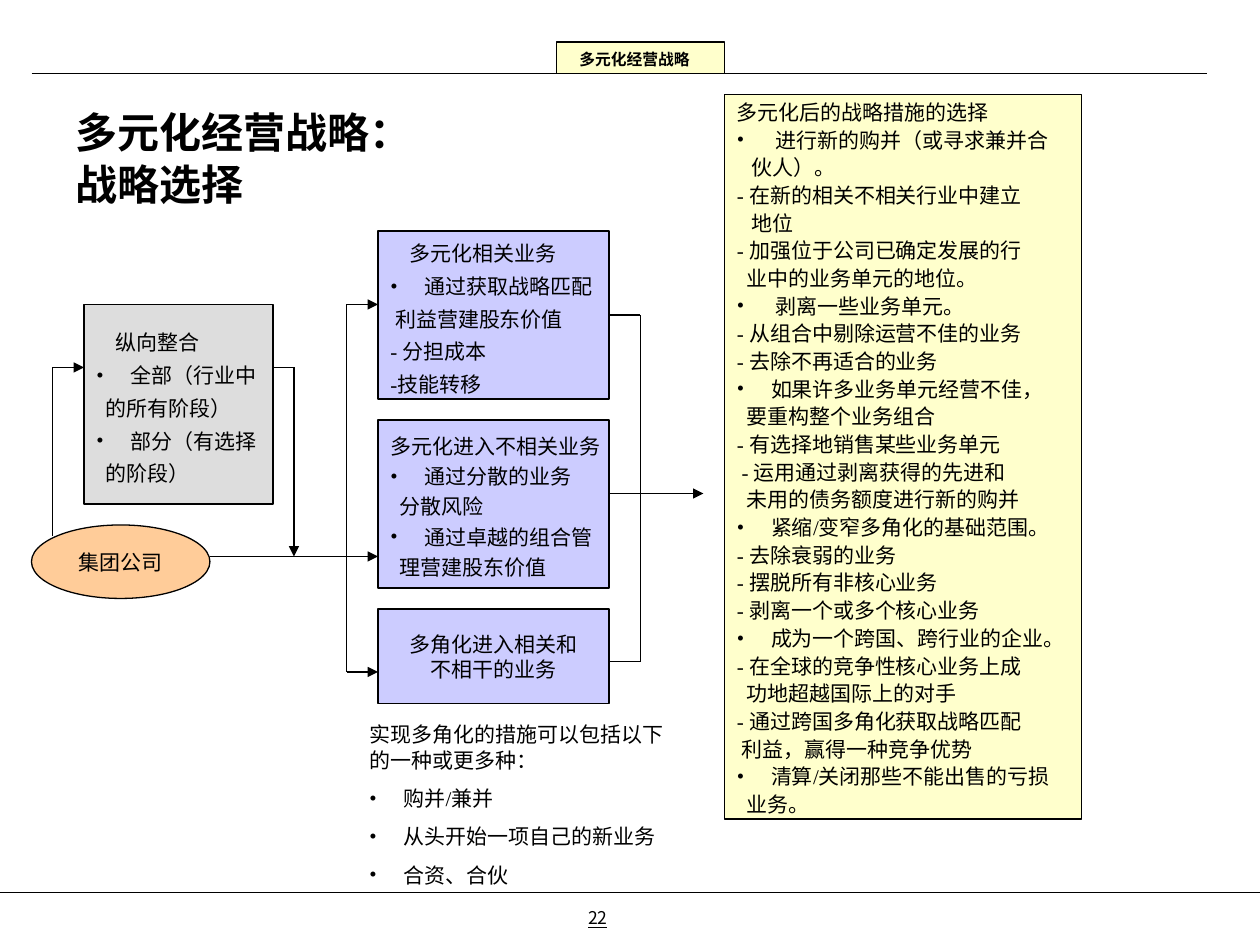
from collections import namedtuple
from dataclasses import dataclass

from lxml import etree
from pptx import Presentation
from pptx.dml.color import RGBColor
from pptx.enum.shapes import MSO_CONNECTOR, MSO_SHAPE
from pptx.enum.text import MSO_ANCHOR, MSO_AUTO_SIZE, PP_ALIGN
from pptx.oxml.ns import qn
from pptx.util import Pt

RECTANGLE, ELLIPSE = MSO_SHAPE.RECTANGLE, MSO_SHAPE.OVAL
STRAIGHT = MSO_CONNECTOR.STRAIGHT
TOP, MIDDLE = MSO_ANCHOR.TOP, MSO_ANCHOR.MIDDLE
LEFT, CENTER = PP_ALIGN.LEFT, PP_ALIGN.CENTER
FIT_SHAPE = MSO_AUTO_SIZE.SHAPE_TO_FIT_TEXT

Box = namedtuple("Box", "left top width height")


@dataclass(frozen=True)
class Theme:
    ink: str = "000000"
    grey: str = "DDDDDD"
    lilac: str = "CCCCFF"
    cream: str = "FFFFCC"
    peach: str = "FFCC99"
    serif: str = "Times New Roman"
    sans: str = "Noto Sans CJK SC"
    title: float = 24
    body: float = 12
    page: float = 10
    tag: float = 9
    outline: float = 0.75
    bullet_gap: float = 16.8
    indent_step: float = 2.7


THEME = Theme()


def line(text, steps=0):
    return text, steps, False


def bullet(text, steps=1):
    return text, steps, True


INTEGRATION = [line("纵向整合", 4), bullet("全部（行业中"), line("的所有阶段）", 2),
               bullet("部分（有选择"), line("的阶段）", 2)]
RELATED = [line("多元化相关业务", 4), bullet("通过获取战略匹配"), line("利益营建股东价值", 1),
           line("- 分担成本"), line("-技能转移")]
UNRELATED = [line("多元化进入不相关业务"), bullet("通过分散的业务"), line("分散风险", 2),
             bullet("通过卓越的组合管"), line("理营建股东价值", 2)]
MIXED = [line("多角化进入相关和"), line("不相干的业务")]
METHODS = [line("实现多角化的措施可以包括以下的一种或更多种："), bullet("购并/兼并"),
           bullet("从头开始一项自己的新业务"), bullet("合资、合伙")]
MEASURES = [
    line("多元化后的战略措施的选择"),
    bullet("进行新的购并（或寻求兼并合", 2), line("伙人）。", 3),
    line("- 在新的相关不相关行业中建立"), line("地位", 3),
    line("- 加强位于公司已确定发展的行"), line("业中的业务单元的地位。", 2),
    bullet("剥离一些业务单元。", 2),
    line("- 从组合中剔除运营不佳的业务"),
    line("- 去除不再适合的业务"),
    bullet("如果许多业务单元经营不佳，"), line("要重构整个业务组合", 2),
    line("- 有选择地销售某些业务单元"),
    line("- 运用通过剥离获得的先进和", 1), line("未用的债务额度进行新的购并", 2),
    bullet("紧缩/变窄多角化的基础范围。"),
    line("- 去除衰弱的业务"),
    line("- 摆脱所有非核心业务"),
    line("- 剥离一个或多个核心业务"),
    bullet("成为一个跨国、跨行业的企业。"),
    line("- 在全球的竞争性核心业务上成"), line("功地超越国际上的对手", 2),
    line("- 通过跨国多角化获取战略匹配"), line("利益，赢得一种竞争优势", 1),
    bullet("清算/关闭那些不能出售的亏损"), line("业务。", 2),
]


def within(box, left, top, width, height):
    return Box(box.left + left, box.top + top, width, height)


def write(frame, lines, size=THEME.body, font=THEME.serif, bold=False, underline=False,
          spacing=1.0, before=0, align=LEFT, anchor=TOP, wrap=False):
    frame.word_wrap = wrap
    frame.vertical_anchor = anchor
    for index, (text, steps, bulleted) in enumerate(lines):
        paragraph = frame.paragraphs[0] if index == 0 else frame.add_paragraph()
        paragraph.alignment = align
        paragraph.line_spacing = spacing
        paragraph.space_before = Pt(before if index else 0)
        margin = steps * THEME.indent_step + bulleted * THEME.bullet_gap
        properties = paragraph._p.get_or_add_pPr()
        properties.set("marL", str(Pt(margin)))
        properties.set("indent", str(Pt(-margin if bulleted else 0)))
        if bulleted:
            etree.SubElement(properties, qn("a:buFont"), typeface=font)
            etree.SubElement(properties, qn("a:buChar"), char="•")
        run = paragraph.add_run()
        run.text = text
        run.font.name = font
        run.font.size = Pt(size)
        run.font.bold = bold
        run.font.underline = underline
        run.font.color.rgb = RGBColor.from_string(THEME.ink)


def add_panel(slide, box, fill, lines=(), geometry=RECTANGLE, **style):
    panel = slide.shapes.add_shape(geometry, *map(Pt, box))
    panel.shadow.inherit = False
    panel.fill.solid()
    panel.fill.fore_color.rgb = RGBColor.from_string(fill)
    panel.line.color.rgb = RGBColor.from_string(THEME.ink)
    panel.line.width = Pt(THEME.outline)
    write(panel.text_frame, lines, anchor=MIDDLE, **style)


def add_label(slide, box, lines, **style):
    label = slide.shapes.add_textbox(*map(Pt, box))
    write(label.text_frame, lines, **style)
    label.text_frame.auto_size = FIT_SHAPE


def add_rule(slide, box, start, end, width=THEME.outline, arrow=False):
    points = [Pt(value) for x, y in (start, end) for value in (box.left + x, box.top + y)]
    rule = slide.shapes.add_connector(STRAIGHT, *points)
    rule.line.color.rgb = RGBColor.from_string(THEME.ink)
    rule.line.width = Pt(width)
    if arrow:
        etree.SubElement(rule.line._get_or_add_ln(), qn("a:tailEnd"), type="triangle")
    etree.SubElement(rule._element.spPr, qn("a:effectLst"))


def draw_header(slide, box):
    add_label(slide, within(box, 18, 46, 252, 51), [line("多元化经营战略："), line("战略选择")],
              size=THEME.title, bold=True, spacing=0.5, before=15, wrap=True)
    add_panel(slide, within(box, 300, 0, 96, 18), THEME.cream)
    add_label(slide, within(box, 306, 1, 80, 18), [line("多元化经营战略")],
              size=THEME.tag, bold=True)
    add_rule(slide, box, (0, 18), (box.width, 18), width=0.25)


def draw_strategy_flow(slide, box):
    add_panel(slide, within(box, 30, 42, 108, 114), THEME.grey, INTEGRATION, spacing=1.3)
    add_panel(slide, within(box, 198, 0, 132, 96), THEME.lilac, RELATED, spacing=1.3)
    add_panel(slide, within(box, 198, 108, 132, 96), THEME.lilac, UNRELATED, spacing=1.2)
    add_panel(slide, within(box, 198, 216, 132, 54), THEME.lilac, MIXED, align=CENTER)
    add_panel(slide, within(box, 0, 168, 102, 42), THEME.peach, [line("集团公司")],
              geometry=ELLIPSE, align=CENTER)
    for start, end in [((12, 78), (12, 174)), ((138, 78), (150, 78)),
                       ((180, 42), (180, 252)), ((330, 48), (348, 48)),
                       ((348, 48), (348, 246)), ((330, 246), (348, 246))]:
        add_rule(slide, box, start, end)
    for start, end in [((12, 78), (30, 78)), ((102, 186), (198, 186)),
                       ((150, 78), (150, 186)), ((180, 42), (198, 42)),
                       ((180, 252), (198, 252)), ((330, 150), (384, 150))]:
        add_rule(slide, box, start, end, arrow=True)


def draw_methods(slide, box):
    add_label(slide, box, METHODS, before=7.5, wrap=True)


def draw_measures(slide, box):
    add_panel(slide, box, THEME.cream, MEASURES, spacing=1.1)


def draw_footer(slide, box):
    add_rule(slide, box, (0, 0), (box.width, 0), width=1)
    add_label(slide, within(box, 329, 5, 26, 19), [line("22")],
              size=THEME.page, font=THEME.sans, underline=True)


def main():
    deck = Presentation()
    deck.slide_width, deck.slide_height = Pt(720), Pt(540)
    slide = deck.slides.add_slide(deck.slide_layouts[6])
    draw_header(slide, Box(18, 24, 672, 97))
    draw_strategy_flow(slide, Box(18, 132, 384, 270))
    draw_methods(slide, Box(204, 409, 186, 102))
    draw_measures(slide, Box(414, 54, 204, 414))
    draw_footer(slide, Box(0, 510, 720, 30))
    deck.save("out.pptx")


if __name__ == "__main__":
    main()
